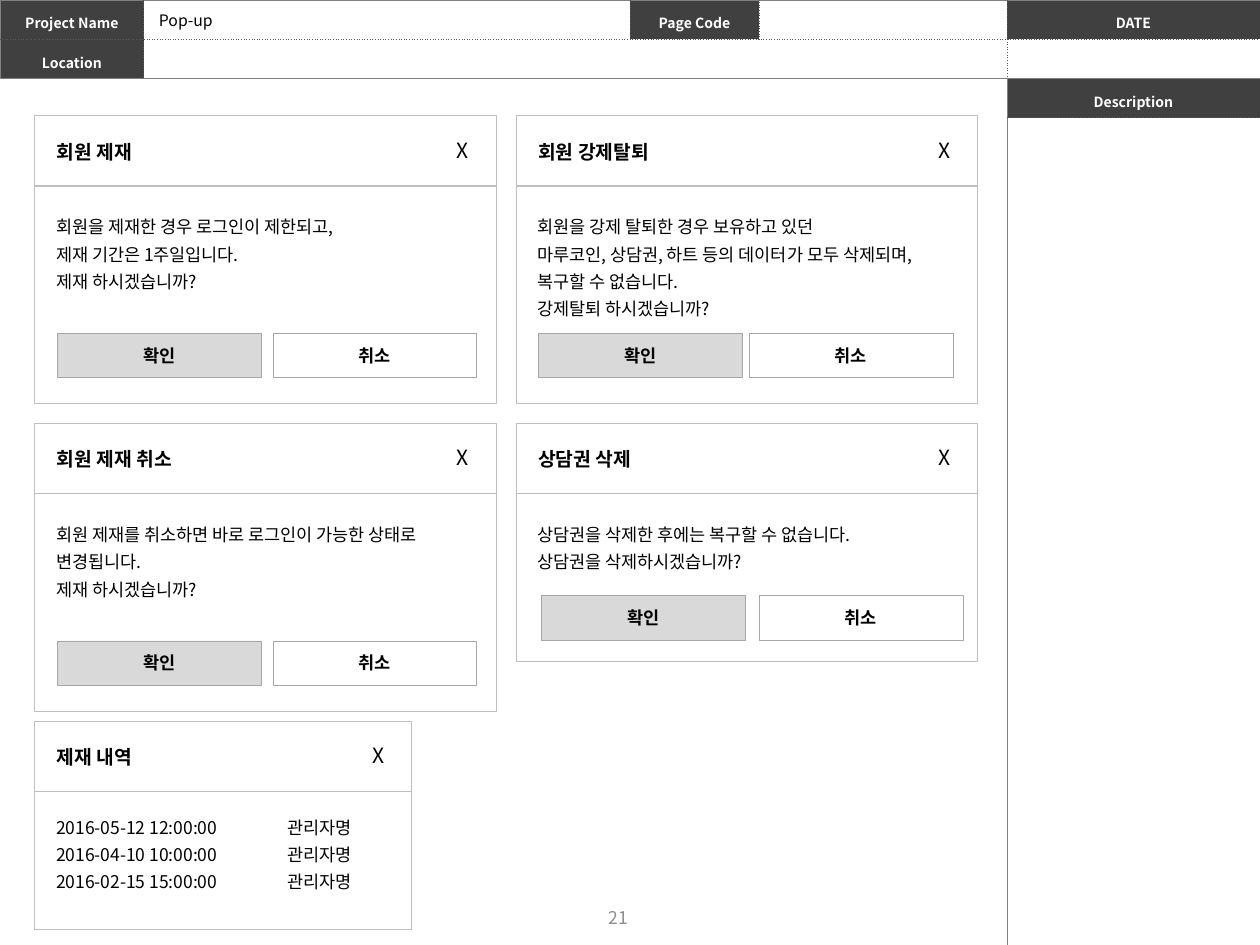
from dataclasses import dataclass
from typing import Any, Optional

from lxml import etree
from pptx import Presentation
from pptx import util as u
from pptx.dml.color import RGBColor
from pptx.enum import shapes as kinds, text as t
from pptx.oxml import ns

FACE = "Noto Sans CJK KR"
DARK, GRID, DOTS = "404040", "808080", "595959"
PALE, EDGE, RULE = "D9D9D9", "A6A6A6", "BFBFBF"
LEFT, MID = t.PP_ALIGN.LEFT, t.PP_ALIGN.CENTER
HEAD = {"size": u.Pt(11), "bold": True}
BODY = {"size": u.Pt(10), "bold": False}
CLOSE = {"size": u.Pt(12), "bold": False}
BUTTON = {"size": u.Pt(10), "bold": True}
LABEL = {"size": u.Pt(8), "bold": True}
ROW = 0.79


@dataclass
class Buttons:
    top: float
    yes: float
    no: float


@dataclass
class Column:
    left: float
    width: float
    lines: list[str]


@dataclass
class Popup:
    left: float
    top: float
    width: float
    height: float
    title: str
    span: float
    columns: list[Column]
    body: float = 1.78
    buttons: Optional[Buttons] = None


POPUPS = [
    Popup(0.7, 2.33, 9.3, 5.8, "회원 제재", 2.2,
          [Column(0.18, 7.04, ["회원을 제재한 경우 로그인이 제한되고,",
                               "제재 기간은 1주일입니다.",
                               "제재 하시겠습니까?"])],
          buttons=Buttons(4.39, 0.46, 4.8)),
    Popup(10.4, 2.33, 9.3, 5.8, "회원 강제탈퇴", 3.0,
          [Column(0.18, 9.0, ["회원을 강제 탈퇴한 경우 보유하고 있던",
                              "마루코인, 상담권, 하트 등의 데이터가 모두 삭제되며,",
                              "복구할 수 없습니다.",
                              "강제탈퇴 하시겠습니까?"])],
          buttons=Buttons(4.39, 0.46, 4.7)),
    Popup(0.7, 8.53, 9.3, 5.8, "회원 제재 취소", 3.15,
          [Column(0.18, 8.74, ["회원 제재를 취소하면 바로 로그인이 가능한 상태로",
                               "변경됩니다.",
                               "제재 하시겠습니까?"])],
          buttons=Buttons(4.39, 0.46, 4.8)),
    Popup(10.4, 8.53, 9.3, 4.8, "상담권 삭제", 2.62,
          [Column(0.18, 7.62, ["상담권을 삭제한 후에는 복구할 수 없습니다.",
                               "상담권을 삭제하시겠습니까?"])],
          buttons=Buttons(3.48, 0.51, 4.9)),
    Popup(0.7, 14.53, 7.6, 4.2, "제재 내역", 2.2,
          [Column(0.18, 3.84, ["2016-05-12 12:00:00", "2016-04-10 10:00:00",
                               "2016-02-15 15:00:00"]),
           Column(4.85, 1.93, ["관리자명"] * 3)],
          body=1.68),
]


def tint(code: str) -> RGBColor:
    return RGBColor.from_string(code)


def apply(item: Any, form: dict) -> None:
    for name, value in form.items():
        setattr(item, name, value)


def write(frame: Any, lines: list[str], form: dict, ink: str = "000000",
          align: Any = LEFT, pitch: float = 1.0) -> None:
    for i, line in enumerate(lines):
        para = frame.add_paragraph() if i else frame.paragraphs[0]
        apply(para, {"alignment": align, "line_spacing": pitch})
        run = para.add_run()
        run.text = line
        apply(run.font, {"name": FACE, **form})
        run.font.color.rgb = tint(ink)
        asian = etree.SubElement(run.font._element, ns.qn("a:ea"))
        asian.set("typeface", FACE)


def label(shapes: Any, box: tuple, lines: list[str], form: dict,
          pitch: float = 1.0) -> None:
    frame = shapes.add_textbox(*map(u.Cm, box)).text_frame
    apply(frame, {"word_wrap": False,
                  "auto_size": t.MSO_AUTO_SIZE.SHAPE_TO_FIT_TEXT})
    write(frame, lines, form, pitch=pitch)


def panel(shapes: Any, box: tuple, fill: str, line: str) -> Any:
    shape = shapes.add_shape(kinds.MSO_SHAPE.RECTANGLE, *map(u.Cm, box))
    shape.shadow.inherit = False
    shape.fill.solid()
    shape.fill.fore_color.rgb = tint(fill)
    shape.line.color.rgb = tint(line)
    shape.line.width = u.Pt(0.25)
    return shape


def button(shapes: Any, left: float, top: float, name: str, fill: str) -> None:
    frame = panel(shapes, (left, top, 4.11, 0.89), fill, EDGE).text_frame
    apply(frame, {"word_wrap": False, "vertical_anchor": t.MSO_ANCHOR.MIDDLE})
    write(frame, [name], BUTTON, align=MID)


def rule(shapes: Any, left: float, top: float, width: float) -> None:
    line = shapes.add_connector(kinds.MSO_CONNECTOR.STRAIGHT,
                                *map(u.Cm, (left, top, left + width, top)))
    line.line.color.rgb = tint(RULE)
    line.line.width = u.Pt(0.75)
    etree.SubElement(line._element.spPr, ns.qn("a:effectLst"))


def popup(shapes: Any, p: Popup) -> None:
    x, y = p.left, p.top
    panel(shapes, (x, y, p.width, p.height), "FFFFFF", RULE)
    rule(shapes, x, y + 1.42, p.width)
    label(shapes, (x + 0.2, y + 0.37, p.span, 0.73), [p.title], HEAD)
    label(shapes, (x + p.width - 1.04, y + 0.31, 0.78, 0.77), ["X"], CLOSE)
    for col in p.columns:
        tall = 0.25 + 0.56 * len(col.lines)
        label(shapes, (x + col.left, y + p.body, col.width, tall),
              col.lines, BODY, 1.3)
    if p.buttons:
        top = y + p.buttons.top
        button(shapes, x + p.buttons.yes, top, "확인", PALE)
        button(shapes, x + p.buttons.no, top, "취소", "FFFFFF")


def border(cell: Any, outer: dict[str, bool]) -> None:
    """Outer sides are solid, inner sides are dotted."""
    props = cell._tc.get_or_add_tcPr()
    for i, (side, solid) in enumerate(outer.items()):
        line = etree.Element(ns.qn(f"a:ln{side}"), w=str(u.Pt(0.5)))
        fill = etree.SubElement(line, ns.qn("a:solidFill"))
        etree.SubElement(fill, ns.qn("a:srgbClr"), val=GRID if solid else DOTS)
        etree.SubElement(line, ns.qn("a:prstDash"),
                         val="solid" if solid else "sysDot")
        props.insert(i, line)


def table(shapes: Any, left: float, top: float, cols: list[float],
          rows: list[float], names: dict[tuple[int, int], str]) -> Any:
    box = map(u.Cm, (left, top, sum(cols), sum(rows)))
    grid = shapes.add_table(len(rows), len(cols), *box).table
    apply(grid, {"first_row": False, "horz_banding": False})
    for c, width in enumerate(cols):
        grid.columns[c].width = u.Cm(width)
    for r, height in enumerate(rows):
        grid.rows[r].height = u.Cm(height)
        for c in range(len(cols)):
            cell = grid.cell(r, c)
            apply(cell, {"vertical_anchor": t.MSO_ANCHOR.MIDDLE,
                         "margin_top": u.Cm(0.1), "margin_bottom": u.Cm(0.1)})
            if (r, c) in names:
                cell.fill.solid()
                cell.fill.fore_color.rgb = tint(DARK)
                write(cell.text_frame, [names[r, c]], LABEL, "FFFFFF", MID, 1.3)
            else:
                cell.fill.background()
                para = cell.text_frame.paragraphs[0]
                para._p.get_or_add_endParaRPr().set("sz", "800")
            border(cell, {"L": c == 0, "R": c == len(cols) - 1,
                          "T": r == 0, "B": r == len(rows) - 1})
    return grid


def main() -> None:
    deck = Presentation()
    apply(deck, {"slide_width": u.Cm(25.4), "slide_height": u.Cm(19.05)})
    slide = deck.slides.add_slide(deck.slide_layouts[5])
    shapes = slide.shapes

    title = shapes.title
    apply(title, {"left": u.Cm(2.95), "top": u.Cm(0.08),
                  "width": u.Cm(1.6), "height": u.Cm(0.64)})
    apply(title.text_frame, {"word_wrap": False,
                             "auto_size": t.MSO_AUTO_SIZE.NONE,
                             "vertical_anchor": t.MSO_ANCHOR.TOP})
    write(title.text_frame, ["Pop-up"], {"size": u.Pt(9), "bold": False})

    head = table(shapes, 0, 0, [2.9, 9.8, 2.6, 5.0, 5.1], [ROW, ROW],
                 {(0, 0): "Project Name", (0, 2): "Page Code",
                  (0, 4): "DATE", (1, 0): "Location"})
    head.cell(1, 1).merge(head.cell(1, 3))
    table(shapes, 20.3, 2 * ROW, [5.1], [ROW, 19.05 - 3 * ROW],
          {(0, 0): "Description"})

    for p in POPUPS:
        popup(shapes.add_group_shape().shapes if p.buttons else shapes, p)

    page = shapes.add_textbox(*map(u.Cm, (9.5, 17.98, 5.92, 1.02))).text_frame
    apply(page, {"word_wrap": True, "vertical_anchor": t.MSO_ANCHOR.MIDDLE})
    write(page, ["21"], BODY, "8C8C8C", MID)
    deck.save("out.pptx")


if __name__ == "__main__":
    main()
